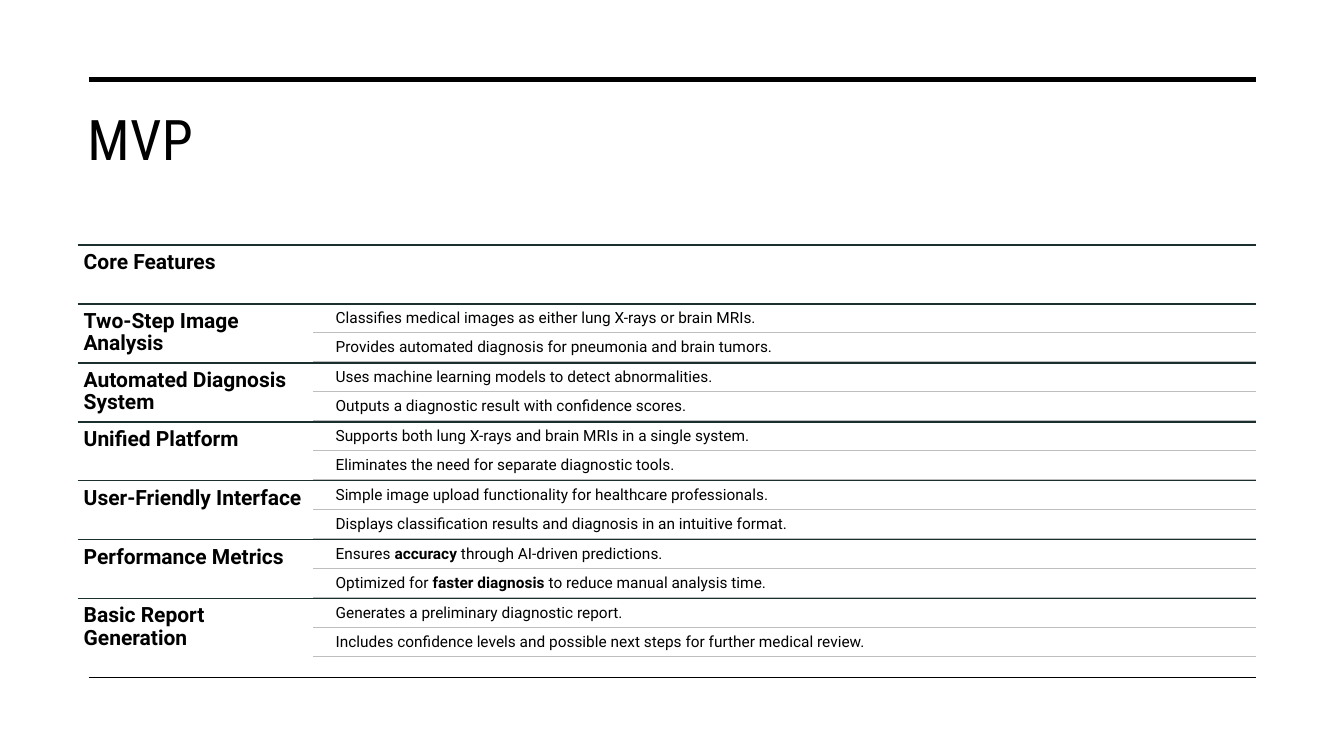
from pptx import Presentation
from pptx.dml.color import RGBColor
from pptx.enum import shapes, text
from pptx.oxml import ns, xmlchemy
from pptx.util import Pt

BLACK = RGBColor(0x00, 0x00, 0x00)
TEAL = RGBColor(0x1B, 0x2F, 0x2E)
GREY = RGBColor(0xBD, 0xBE, 0xBE)

LEFT, RIGHT = 55.4, 897.1
EDGE = 63.3
PITCH = 42.1

FEATURES = [
    ("Core Features", []),
    ("Two-Step Image Analysis", [
        "Classifies medical images as either lung X-rays or brain MRIs.",
        "Provides automated diagnosis for pneumonia and brain tumors."]),
    ("Automated Diagnosis System", [
        "Uses machine learning models to detect abnormalities.",
        "Outputs a diagnostic result with confidence scores."]),
    ("Unified Platform", [
        "Supports both lung X-rays and brain MRIs in a single system.",
        "Eliminates the need for separate diagnostic tools."]),
    ("User-Friendly Interface", [
        "Simple image upload functionality for healthcare professionals.",
        "Displays classification results and diagnosis in an intuitive format."]),
    ("Performance Metrics", [
        "Ensures **accuracy** through AI-driven predictions.",
        "Optimized for **faster diagnosis** to reduce manual analysis time."]),
    ("Basic Report Generation", [
        "Generates a preliminary diagnostic report.",
        "Includes confidence levels and possible next steps for further medical review."]),
]


def rule(slide, left, right, y, color=BLACK, width=1):
    """Draw a level line from left to right."""
    line = slide.shapes.add_connector(
        shapes.MSO_CONNECTOR.STRAIGHT, Pt(left), Pt(y), Pt(right), Pt(y))
    line.line.color.rgb = color
    line.line.width = Pt(width)
    line._element.spPr.append(xmlchemy.OxmlElement("a:effectLst"))


def write(slide, words, box, size, font="Roboto", bold=False,
          inset=(3.6, 3.6), spacing=0.9, track=None):
    """Place text in a box; parts between ** marks are bold."""
    frame = slide.shapes.add_textbox(*map(Pt, box)).text_frame
    frame.word_wrap = True
    frame.auto_size = text.MSO_AUTO_SIZE.NONE
    frame.vertical_anchor = text.MSO_ANCHOR.TOP
    frame.margin_left = frame.margin_right = Pt(inset[0])
    frame.margin_top = frame.margin_bottom = Pt(inset[1])
    para = frame.paragraphs[0]
    para.line_spacing = spacing
    for i, part in enumerate(words.split("**")):
        run = para.add_run()
        run.text = part
        run.font.name = font
        run.font.size = Pt(size)
        run.font.bold = bold or i % 2 == 1
        run.font.color.rgb = BLACK
        if track:
            run._r.get_or_add_rPr().set("spc", str(round(track * 100)))


def header(slide, left, top, width, height):
    rule(slide, EDGE, RIGHT, 56.9, width=3.5)
    write(slide, "MVP", (left, top, width, height), 40,
          font="Roboto Condensed", inset=(7.2, 3.6), spacing=1.0, track=0.3)


def feature(slide, name, details, left, top, width, height):
    """Draw one row: a heading on the left, ruled details on the right."""
    right = left + width
    side = width / 5
    rule(slide, left, right, top, TEAL)
    write(slide, name, (left, top, side, height), 15, bold=True,
          inset=(4.4, 4.4))
    step = 20.6
    indent = left + side + 12.4
    for i, detail in enumerate(details):
        y = top + 1 + i * step
        write(slide, detail, (indent, y, right - indent, 19.6), 11)
        rule(slide, left + side, right, y + 19.6, GREY)


def table(slide, left, top, width):
    for i, (name, details) in enumerate(FEATURES):
        feature(slide, name, details, left, top + i * PITCH, width, PITCH)


def main():
    deck = Presentation()
    deck.slide_width, deck.slide_height = Pt(960), Pt(540)
    slide = deck.slides.add_slide(deck.slide_layouts[6])
    header(slide, LEFT, 71.3, RIGHT - LEFT, 90.7)
    table(slide, LEFT, 175, RIGHT - LEFT)
    rule(slide, EDGE, RIGHT, 483.8)
    deck.save("out.pptx")


if __name__ == "__main__":
    main()
